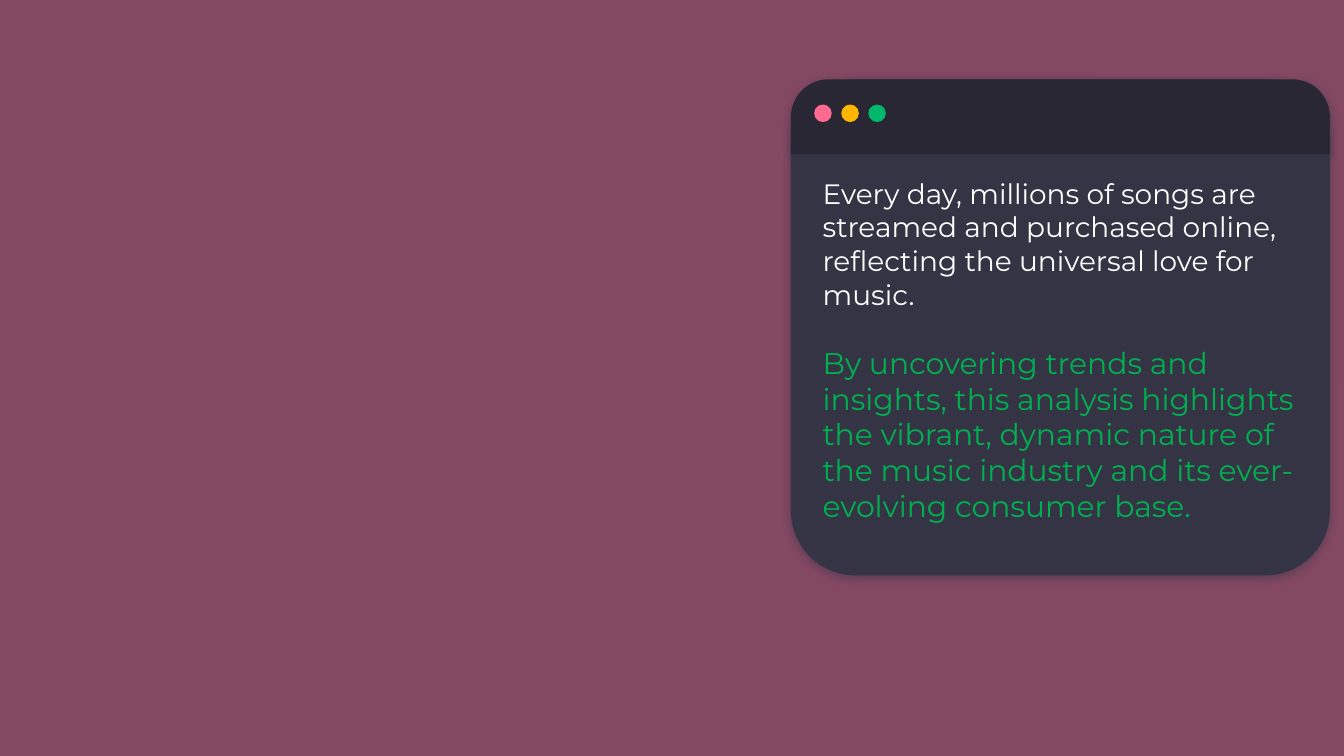
from lxml import etree
from pptx import Presentation
from pptx.dml.color import RGBColor
from pptx.enum.shapes import MSO_SHAPE
from pptx.enum.text import MSO_ANCHOR, MSO_AUTO_SIZE, PP_ALIGN
from pptx.oxml import parse_xml
from pptx.oxml.ns import nsdecls, qn
from pptx.util import Pt

RECT, ROUND, OVAL = MSO_SHAPE.RECTANGLE, MSO_SHAPE.ROUNDED_RECTANGLE, MSO_SHAPE.OVAL
ROUND_TOP = MSO_SHAPE.ROUND_2_SAME_RECTANGLE
MIDDLE, LEFT, NO_FIT = MSO_ANCHOR.MIDDLE, PP_ALIGN.LEFT, MSO_AUTO_SIZE.NONE

SLATE = RGBColor(0x35, 0x34, 0x45)
DARK = RGBColor(0x28, 0x27, 0x33)
PINK = RGBColor(0xFF, 0x6A, 0x92)
AMBER = RGBColor(0xFF, 0xB6, 0x00)
MINT = RGBColor(0x00, 0xB7, 0x6C)
GREEN = RGBColor(0x00, 0xB0, 0x50)
WHITE = RGBColor(0xFF, 0xFF, 0xFF)


def add_shape(shapes, kind, left, top, width, height, color):
    sp = shapes.add_shape(kind, Pt(left), Pt(top), Pt(width), Pt(height))
    sp.shadow.inherit = False
    sp.fill.solid()
    sp.fill.fore_color.rgb = color
    sp.line.fill.background()
    return sp


def add_shadow(sp):
    effects = sp._element.spPr.find(qn("a:effectLst"))
    effects.append(parse_xml(
        f'<a:outerShdw {nsdecls("a")} blurRad="{Pt(4.5)}" dist="{Pt(1.5)}" '
        f'dir="5400000" algn="bl" rotWithShape="0"><a:srgbClr val="{SLATE}">'
        '<a:alpha val="50000"/></a:srgbClr></a:outerShdw>'))


prs = Presentation()
prs.slide_width, prs.slide_height = Pt(720), Pt(405)
s = prs.slides.add_slide(prs.slide_layouts[1])
title = s.shapes.title._element
title.getparent().remove(title)

# Background with a translucent pink tint
s.background.fill.solid()
s.background.fill.fore_color.rgb = SLATE
tint = add_shape(s.shapes, RECT, 0, 0, 720, 405, PINK)
color = tint._element.spPr.find(qn("a:solidFill"))[0]
etree.SubElement(color, qn("a:alpha")).set("val", "39000")

# Window card and its title bar
card = add_shape(s.shapes, ROUND, 423.75, 42.5, 288.75, 265.75, SLATE)
card.adjustments[0] = 0.13
add_shadow(card)
bar = add_shape(s.shapes, ROUND_TOP, 423.75, 42.5, 288.75, 40.25, DARK)
bar.adjustments[0], bar.adjustments[1] = 0.5, 0
add_shadow(bar)

# Body text, raised above the card
body = s.placeholders[1]
body.left, body.top, body.width, body.height = Pt(433.5), Pt(42.5), Pt(279.5), Pt(290)
s.shapes._spTree.append(body._element)
tf = body.text_frame
tf.word_wrap = True
tf.auto_size = NO_FIT
tf.vertical_anchor = MIDDLE
tf.margin_left = tf.margin_right = Pt(7.2)
tf.margin_top = tf.margin_bottom = 0

paragraphs = [
    ("Every day, millions of songs are streamed and purchased online, "
     "reflecting the universal love for music.", 15, WHITE, 0),
    ("By uncovering trends and insights, this analysis highlights the vibrant, "
     "dynamic nature of the music industry and its ever-evolving consumer base.",
     16, GREEN, 18),
]
for i, (text, size, color, gap) in enumerate(paragraphs):
    p = tf.paragraphs[0] if i == 0 else tf.add_paragraph()
    p.text = text
    p.alignment = LEFT
    p.space_before, p.space_after = Pt(gap), Pt(0)
    p.font.name, p.font.size = "Montserrat", Pt(size)
    p.font.color.rgb = color
    pPr = p._p.get_or_add_pPr()
    pPr.set("marL", "0")
    pPr.set("indent", "0")
    pPr.find(qn("a:spcAft")).addnext(pPr.makeelement(qn("a:buNone")))

# Window buttons
buttons = s.shapes.add_group_shape()
for i, color in enumerate((PINK, AMBER, MINT)):
    add_shape(buttons.shapes, OVAL, 436.2 + 14.5 * i, 56, 9.4, 9.4, color)

prs.save("out.pptx")
